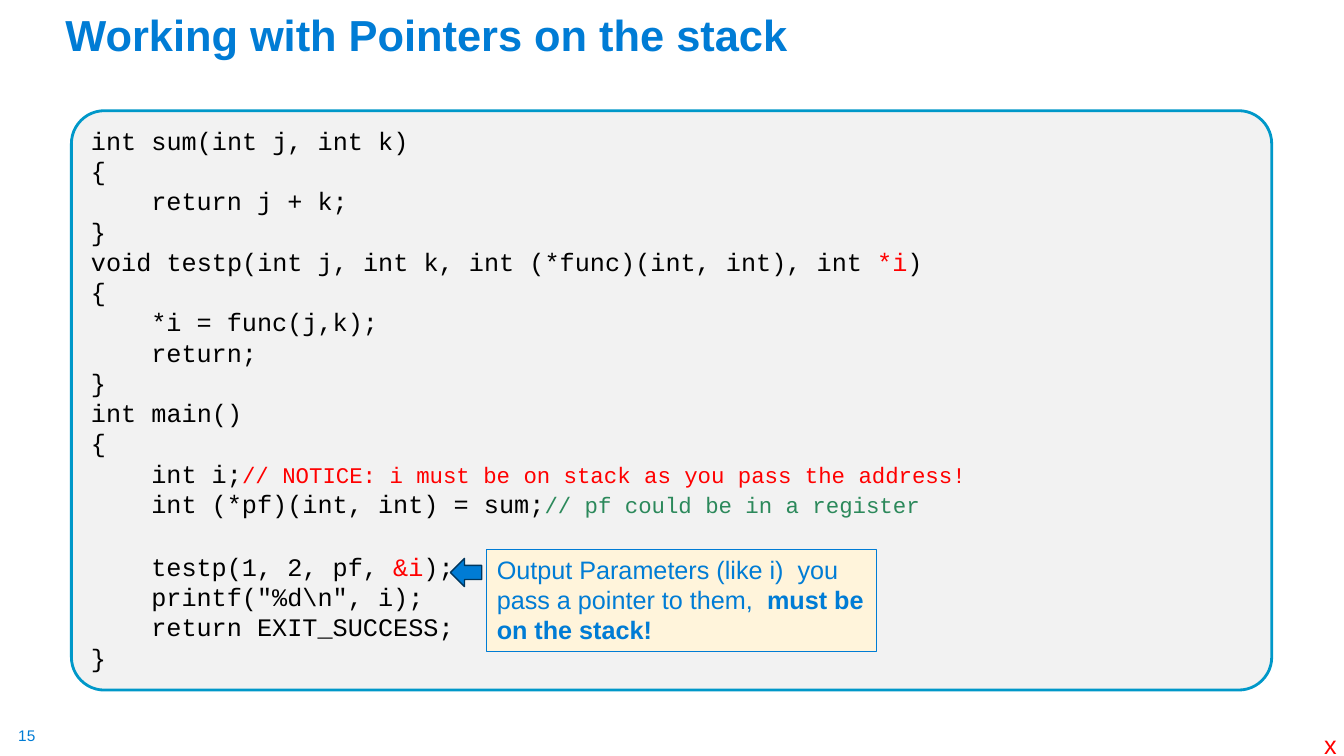
from lxml.etree import SubElement
from pptx import Presentation
from pptx.dml.color import RGBColor
from pptx.enum.shapes import MSO_SHAPE
from pptx.enum.text import MSO_ANCHOR, PP_ALIGN
from pptx.oxml.ns import qn
from pptx.util import Cm, Pt

BLUE, RED, GREEN, BLACK = "007CD5", "FF0000", "2C895B", "000000"
INDENT = 1.52
BLANK_LINE = 23.4

# (indented, tab stop in cm, space before in points, runs)
CODE = [
    (False, None, 0, [("int sum(int j, int k)", BLACK, 18)]),
    (False, None, 0, [("{", BLACK, 18)]),
    (True, None, 0, [("return j + k;", BLACK, 18)]),
    (False, None, 0, [("}", BLACK, 18)]),
    (False, None, 0, [("void testp(int j, int k, int (*func)(int, int), int ", BLACK, 18),
                      ("*i", RED, 18), (")", BLACK, 18)]),
    (False, None, 0, [("{", BLACK, 18)]),
    (True, None, 0, [("*i = func(j,k);", BLACK, 18)]),
    (True, None, 0, [("return;", BLACK, 18)]),
    (False, None, 0, [("}", BLACK, 18)]),
    (False, None, 0, [("int main()", BLACK, 18)]),
    (False, None, 0, [("{", BLACK, 18)]),
    (True, 10.16, 0, [("int i;\t", BLACK, 18),
                      ("// NOTICE: i must be on stack as you pass the address!", RED, 16)]),
    (True, 12.2, 0, [("int (*pf)(int, int) = sum;\t", BLACK, 18),
                     ("// pf could be in a register", GREEN, 16)]),
    (True, None, BLANK_LINE, [("testp(1, 2, pf, ", BLACK, 18), ("&i", RED, 18),
                              (");", BLACK, 18)]),
    (True, None, 0, [('printf("%d\\n", i);', BLACK, 18)]),
    (True, None, 0, [("return EXIT_SUCCESS;", BLACK, 18)]),
    (False, None, 0, [("}", BLACK, 18)]),
]


def rgb(value):
    """Turn a hex string into a colour."""
    return RGBColor.from_string(value)


def add_run(p, text, size, color, font="Arial", bold=False):
    """Append one formatted run to a paragraph."""
    r = p.add_run()
    r.text = text
    r.font.name, r.font.size, r.font.bold = font, Pt(size), bold
    r.font.color.rgb = rgb(color)


def add_box(s, kind, box, fill, line, width):
    """Add a flat shape with left-aligned text at the top."""
    sp = s.shapes.add_shape(kind, *map(Cm, box))
    sp.shadow.inherit = False
    sp.fill.solid()
    sp.fill.fore_color.rgb = rgb(fill)
    sp.line.color.rgb = rgb(line)
    sp.line.width = Pt(width)
    tf = sp.text_frame
    tf.word_wrap = True
    tf.vertical_anchor = MSO_ANCHOR.TOP
    tf.paragraphs[0].alignment = PP_ALIGN.LEFT
    return sp


def add_label(s, box, text, size, color, bold=False, wrap=False, margins=None):
    """Add a one-line text box and return its frame."""
    tf = s.shapes.add_textbox(*map(Cm, box)).text_frame
    tf.word_wrap = wrap
    if margins:
        tf.margin_left, tf.margin_top, tf.margin_right, tf.margin_bottom = map(Cm, margins)
    add_run(tf.paragraphs[0], text, size, color, bold=bold)
    return tf


def add_title(s, box):
    """Place the slide title at the bottom of its box."""
    tf = add_label(s, box, "Working with Pointers on the stack", 31, BLUE, bold=True, wrap=True)
    tf.vertical_anchor = MSO_ANCHOR.BOTTOM
    tf.paragraphs[0].line_spacing = 0.9


def add_code(s, box):
    """Place the code panel with its listing."""
    sp = add_box(s, MSO_SHAPE.ROUNDED_RECTANGLE, box, "F2F2F2", "0098C9", 2)
    sp.adjustments[0] = 0.057
    tf = sp.text_frame
    for n, (indented, tab, before, runs) in enumerate(CODE):
        p = tf.add_paragraph() if n else tf.paragraphs[0]
        p.alignment = PP_ALIGN.LEFT
        if before:
            p.space_before = Pt(before)
        pPr = p._p.get_or_add_pPr()
        if indented:
            pPr.set("marL", "0")
            pPr.set("indent", str(Cm(INDENT)))
        if tab:
            stops = SubElement(pPr, qn("a:tabLst"))
            SubElement(stops, qn("a:tab"), pos=str(Cm(tab)), algn="l")
        for text, color, size in runs:
            add_run(p, text, size, color, "Courier New")


def add_callout(s, box):
    """Place the note and the arrow to its left."""
    x, y, w, h = box
    note = add_box(s, MSO_SHAPE.RECTANGLE, box, "FFF4DB", BLUE, 0.75)
    p = note.text_frame.paragraphs[0]
    add_run(p, "Output Parameters (like i)  you pass a pointer to them,  ", 18, BLUE)
    add_run(p, "must be on the stack!", 18, BLUE, bold=True)
    arrow = add_box(s, MSO_SHAPE.RIGHT_ARROW, (x - 0.92, y + 0.23, 0.79, 0.71), BLUE, "00365D", 1)
    arrow.rotation = 180


def add_footer(s, box):
    """Place the page number on the left and the mark on the right."""
    x, y, w, h = box
    add_label(s, (x, y + 0.07, 0.48, 0.48), "15", 11, BLUE, margins=(0, 0, 0, 0))
    add_label(s, (x + w - 0.74, y, 0.74, h), "x", 18, RED, margins=(0.25, 0.13, 0, 0))


def main():
    """Build the slide and save it."""
    prs = Presentation()
    prs.slide_width, prs.slide_height = Cm(33.87), Cm(19.05)
    s = prs.slides.add_slide(prs.slide_layouts[6])
    add_title(s, (1.4, 0.33, 29.21, 1.32))
    add_code(s, (1.8, 2.79, 30.25, 14.6))
    add_callout(s, (12.27, 13.84, 9.83, 2.57))
    add_footer(s, (0.46, 18.24, 33.4, 0.8))
    prs.save("out.pptx")


if __name__ == "__main__":
    main()
